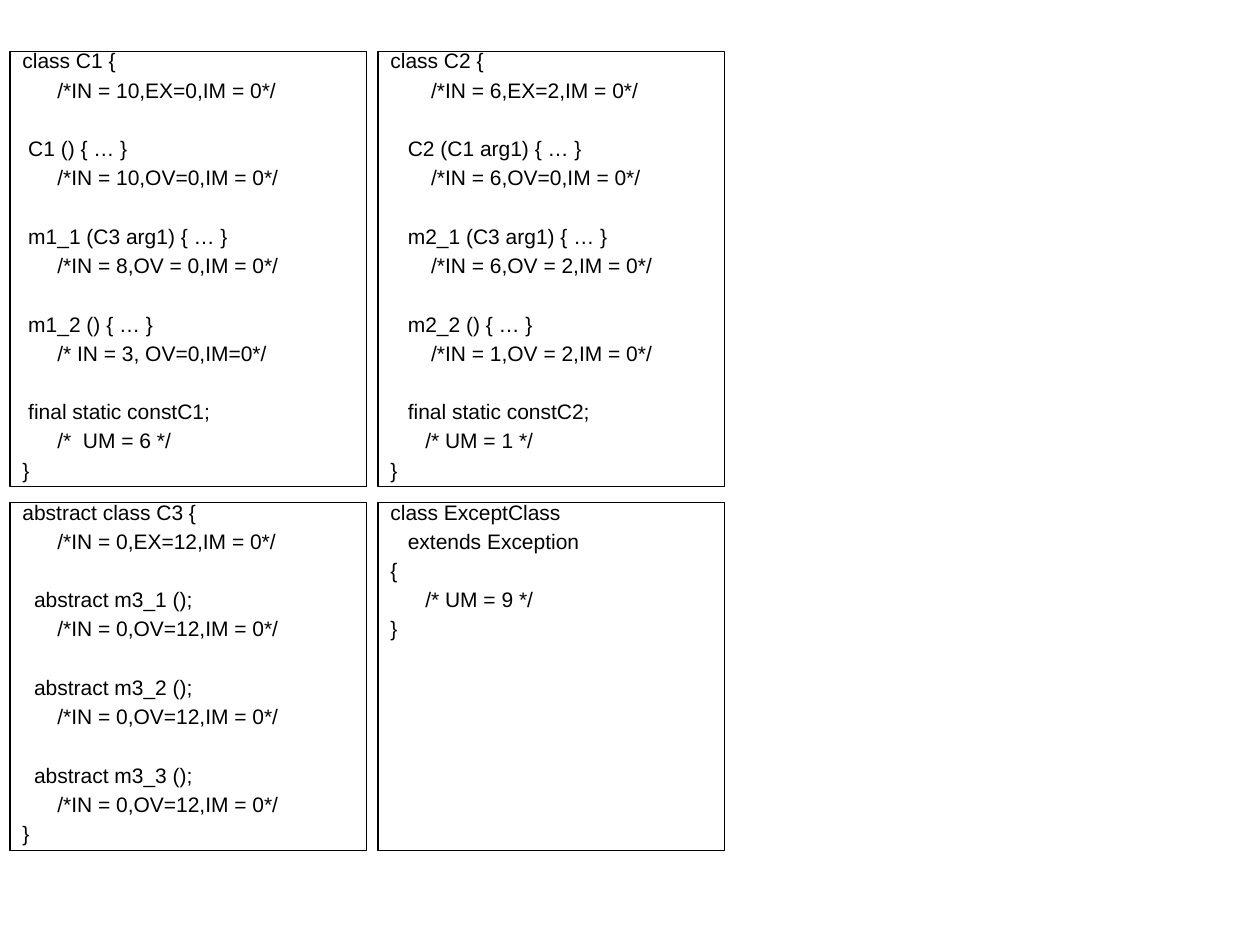
from itertools import product

from pptx import Presentation
from pptx.dml.color import RGBColor
from pptx.enum.shapes import MSO_SHAPE
from pptx.enum.text import MSO_ANCHOR, PP_ALIGN
from pptx.util import Inches, Pt

BLACK = RGBColor(0x00, 0x00, 0x00)
FONT = "Arial"
LINE_GAP = Pt(8.8)
GROUP_GAP = Pt(25.5)

# (start, size) in inches
COLUMNS = ((0.08, 2.83), (3, 2.75))
ROWS = ((0.41, 3.45), (3.99, 2.76))

CLASS_C1 = """\
class C1 {
      /*IN = 10,EX=0,IM = 0*/

 C1 () { … }
      /*IN = 10,OV=0,IM = 0*/

 m1_1 (C3 arg1) { … }
      /*IN = 8,OV = 0,IM = 0*/

 m1_2 () { … }
      /* IN = 3, OV=0,IM=0*/

 final static constC1;
      /*  UM = 6 */
}"""

CLASS_C2 = """\
class C2 {
       /*IN = 6,EX=2,IM = 0*/

   C2 (C1 arg1) { … }
       /*IN = 6,OV=0,IM = 0*/

   m2_1 (C3 arg1) { … }
       /*IN = 6,OV = 2,IM = 0*/

   m2_2 () { … }
       /*IN = 1,OV = 2,IM = 0*/

   final static constC2;
      /* UM = 1 */
}"""

CLASS_C3 = """\
abstract class C3 {
      /*IN = 0,EX=12,IM = 0*/

  abstract m3_1 ();
      /*IN = 0,OV=12,IM = 0*/

  abstract m3_2 ();
      /*IN = 0,OV=12,IM = 0*/

  abstract m3_3 ();
      /*IN = 0,OV=12,IM = 0*/
}"""

EXCEPT_CLASS = """\
class ExceptClass
   extends Exception
{
      /* UM = 9 */
}"""


def add_code(tf, code):
    """Write one paragraph per code line; a blank line widens the next gap."""
    p, gap = tf.paragraphs[0], Pt(0)
    for group in code.split("\n\n"):
        for line in group.split("\n"):
            if p is None:
                p = tf.add_paragraph()
            p.alignment = PP_ALIGN.LEFT
            p.line_spacing = 0.55
            p.space_before = gap
            r = p.add_run()
            r.text = line
            r.font.name = FONT
            r.font.size = Pt(12)
            r.font.color.rgb = BLACK
            p, gap = None, LINE_GAP
        gap = GROUP_GAP


def add_class_box(s, box, code):
    sp = s.shapes.add_shape(MSO_SHAPE.RECTANGLE, *map(Inches, box))
    sp.shadow.inherit = False
    sp.fill.background()
    sp.line.color.rgb = BLACK
    sp.line.width = Pt(0.75)
    tf = sp.text_frame
    tf.word_wrap = True
    tf.vertical_anchor = MSO_ANCHOR.TOP
    tf.margin_left = tf.margin_right = Inches(0.1)
    tf.margin_top = tf.margin_bottom = Inches(0.05)
    add_code(tf, code)


def main():
    prs = Presentation()
    prs.slide_width, prs.slide_height = Inches(10), Inches(7.5)
    s = prs.slides.add_slide(prs.slide_layouts[6])
    listings = (CLASS_C1, CLASS_C2, CLASS_C3, EXCEPT_CLASS)
    for ((top, height), (left, width)), code in zip(product(ROWS, COLUMNS), listings):
        add_class_box(s, (left, top, width, height), code)
    prs.save("out.pptx")


if __name__ == "__main__":
    main()
